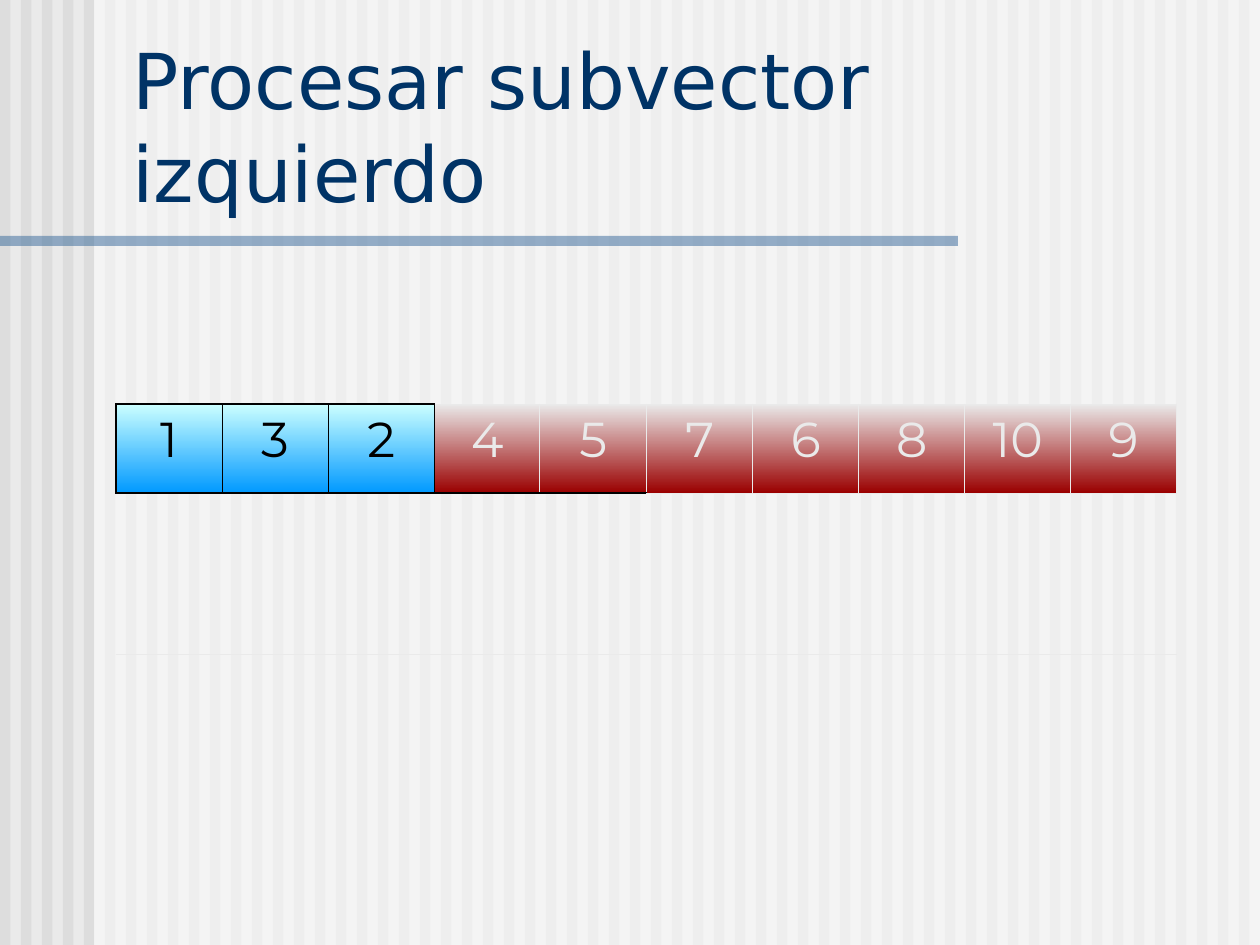
from lxml import etree
from pptx import Presentation, util as u
from pptx.dml.color import RGBColor
from pptx.enum import shapes, text
from pptx.oxml.ns import qn

TITLE = "Procesar subvector izquierdo"
LEFT_VALUES = ["1", "3", "2"]
RIGHT_VALUES = ["4", "5", "7", "6", "8", "10", "9"]

COLORS = {
    "background": "EAEAEA", "stripe": "DDDDDD", "wash": "FFFFFF",
    "rule": "336699", "title": "003366", "black": "000000", "pale": "EAEAEA",
    "cyan": "CCFFFF", "blue": "0099FF", "red": "9A0000",
}

# Grid lines of the table, in px
COLUMN_WIDTHS = [106, 106, 82, 25, 105, 28, 79] + [106] * 5
ROW_HEIGHTS = [89, 89, 161]
VALUE_COLUMNS = [0, 1, 2, 4, 5, 7, 8, 9, 10, 11]
MERGES = [(0, 2, 3), (0, 5, 6), (1, 2, 3), (1, 5, 6), (2, 3, 5)]  # row, first, last
LEFT_END, BLACK_TOP_END = 4, 6  # columns before these carry black lines

THICK, THIN = ("black", 1.08), ("black", 0.45)
PALE = ("pale", 0.45)
NO_STYLE = "{2D5ABB26-0587-4C30-8999-92F81FD0307C}"


def px(length):
    return u.Emu(round(length * 914400 / 126))


def rgb(name):
    return RGBColor.from_string(COLORS[name])


def write(frame, content, *, size, font, color, align, anchor=None):
    paragraph = frame.paragraphs[0]
    paragraph.alignment = align
    run = paragraph.add_run()
    run.text = content
    run.font.size, run.font.name = u.Pt(size), font
    run.font.color.rgb = rgb(color)
    if anchor is not None:
        frame.vertical_anchor = anchor


def add_band(slide, left, top, width, height, color, opacity=100):
    band = slide.shapes.add_shape(
        shapes.MSO_SHAPE.RECTANGLE, px(left), px(top), px(width), px(height))
    band.shadow.inherit = False
    band.line.fill.background()
    band.fill.solid()
    band.fill.fore_color.rgb = rgb(color)
    if opacity < 100:
        tint = band.fill._xPr.find(".//" + qn("a:srgbClr"))
        etree.SubElement(tint, qn("a:alpha"), val=str(opacity * 1000))


def set_borders(cell, borders):
    """Draw the sides in borders (L, R, T, B) and clear the others."""
    properties = cell._tc.get_or_add_tcPr()
    for position, side in enumerate("LRTB"):
        color, width = borders.get(side, (None, 0))
        line = etree.Element(qn("a:ln" + side), w=str(u.Pt(width)))
        if color:
            fill = etree.SubElement(line, qn("a:solidFill"))
            etree.SubElement(fill, qn("a:srgbClr"), val=COLORS[color])
        else:
            etree.SubElement(line, qn("a:noFill"))
        properties.insert(position, line)


def set_gradient(cell, top, bottom):
    cell.fill.gradient()
    cell.fill.gradient_angle = 270
    for stop, color in zip(cell.fill.gradient_stops, (top, bottom)):
        stop.color.rgb = rgb(color)


def borders_at(row, column):
    if row == 0:
        return {"B": THICK if column < LEFT_END else PALE}
    if row == 2:
        return {"T": THICK if column < BLACK_TOP_END else PALE, "B": PALE}
    if column < LEFT_END:
        return {"L": THIN if column else THICK, "R": THIN, "T": THICK, "B": THICK}
    return {"L": THIN if column == LEFT_END else PALE, "R": PALE, "T": PALE, "B": PALE}


def add_vector(slide, left, top):
    frame = slide.shapes.add_table(
        len(ROW_HEIGHTS), len(COLUMN_WIDTHS), px(left), px(top),
        px(sum(COLUMN_WIDTHS)), px(sum(ROW_HEIGHTS)))
    vector = frame.table
    vector.first_row = vector.horz_banding = False
    vector._tbl.tblPr.find(qn("a:tableStyleId")).text = NO_STYLE
    for column, width in zip(vector.columns, COLUMN_WIDTHS):
        column.width = px(width)
    for row, height in zip(vector.rows, ROW_HEIGHTS):
        row.height = px(height)

    for row in range(len(ROW_HEIGHTS)):
        for column in range(len(COLUMN_WIDTHS)):
            cell = vector.cell(row, column)
            cell.fill.background()
            set_borders(cell, borders_at(row, column))
    for row, first, last in MERGES:
        vector.cell(row, first).merge(vector.cell(row, last))

    for column, value in zip(VALUE_COLUMNS, LEFT_VALUES + RIGHT_VALUES):
        cell = vector.cell(1, column)
        in_left = column < LEFT_END
        set_gradient(cell, *(("cyan", "blue") if in_left else ("pale", "red")))
        write(cell.text_frame, value, size=28, font="Montserrat",
              color="black" if in_left else "pale", align=text.PP_ALIGN.CENTER)


def main():
    deck = Presentation()
    deck.slide_width, deck.slide_height = px(1260), px(945)
    slide = deck.slides.add_slide(deck.slide_layouts[5])
    slide.background.fill.solid()
    slide.background.fill.fore_color.rgb = rgb("background")

    for left in range(0, 1260, 21):
        add_band(slide, left, 0, 10.5, 945, "stripe")
    add_band(slide, 94, 0, 1166, 945, "wash", opacity=50)
    add_band(slide, 0, 236, 958, 10, "rule", opacity=50)
    add_vector(slide, 116, 315)

    title = slide.shapes.title
    title.left, title.top, title.width, title.height = map(px, (120, 26, 1125, 198))
    title.text_frame.word_wrap = True
    title.text_frame.auto_size = text.MSO_AUTO_SIZE.NONE
    write(title.text_frame, TITLE, size=44, font="DejaVu Sans", color="title",
          align=text.PP_ALIGN.LEFT, anchor=text.MSO_ANCHOR.BOTTOM)
    slide.shapes._spTree.append(title._element)  # bring the title to the front

    deck.save("out.pptx")


if __name__ == "__main__":
    main()
